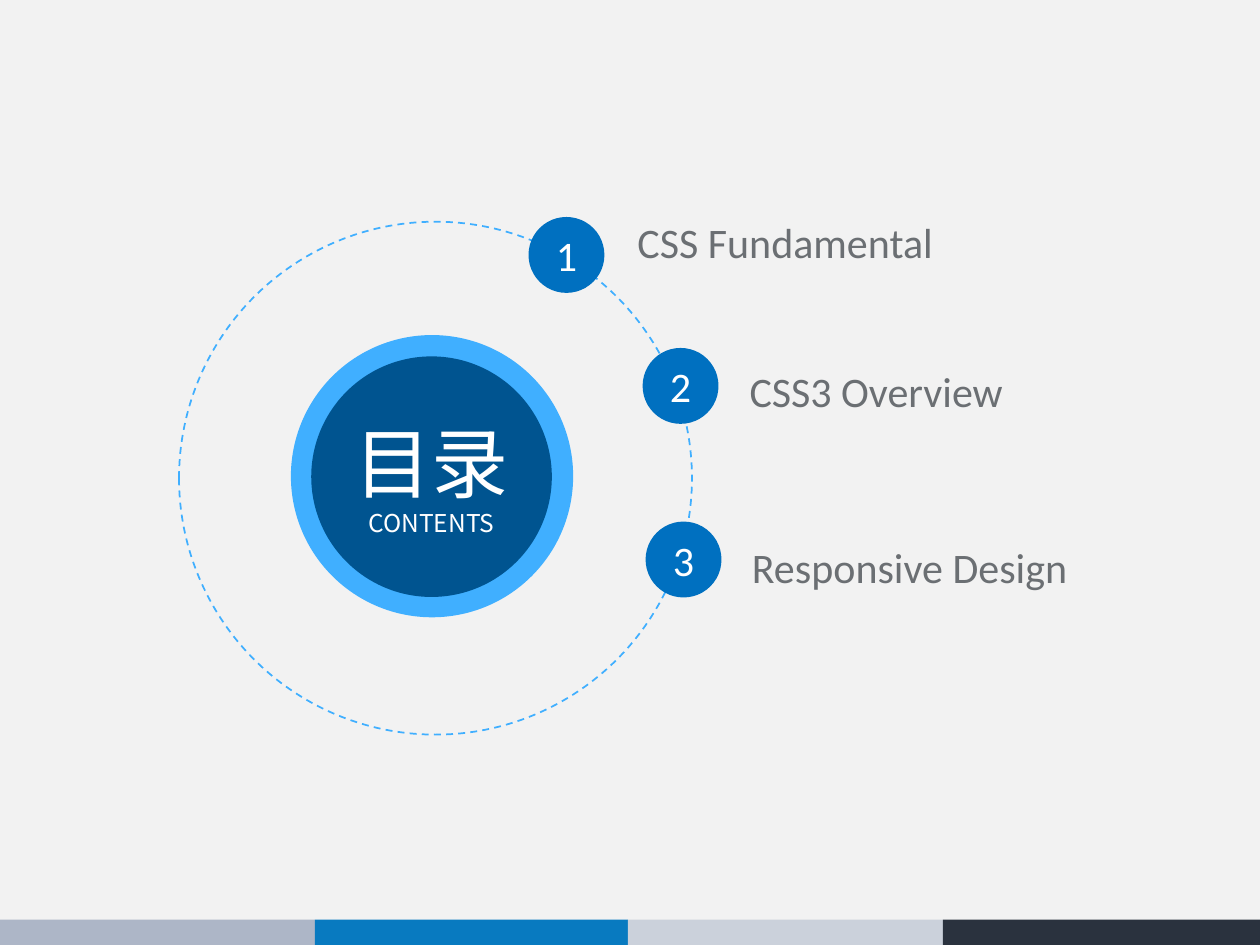
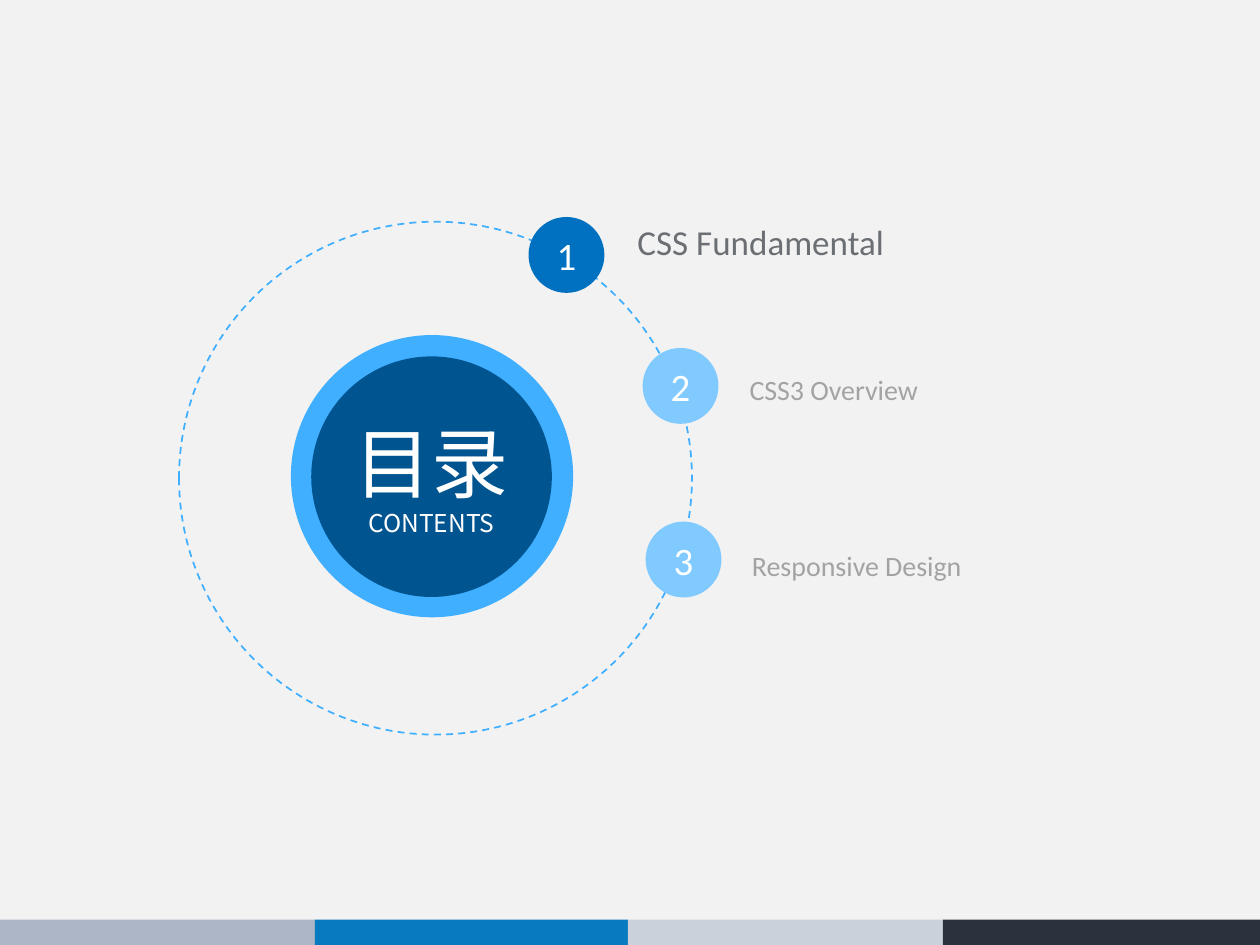
from dataclasses import dataclass
from itertools import pairwise

from lxml.etree import SubElement
from pptx import Presentation
from pptx.dml.color import RGBColor
from pptx.enum.dml import MSO_LINE_DASH_STYLE as Dash
from pptx.enum.shapes import MSO_SHAPE as Shape
from pptx.enum.text import MSO_ANCHOR as Anchor, PP_ALIGN as Align
from pptx.oxml.ns import qn
from pptx.util import Cm, Pt


@dataclass(frozen=True)
class Theme:
    background: str = "F2F2F2"
    bands: tuple = ("ADB6C7", "087AC0", "CBD1DB", "2A323E")
    ring: str = "40AFFF"
    hub: str = "005490"
    node: str = "0070C0"
    node_muted: str = "80CAFF"
    text: str = "6B6F73"
    text_muted: str = "A3A3A3"
    white: str = "FFFFFF"
    font: str = "Calibri"
    hub_font: str = "Noto Sans CJK SC"
    title_size: float = 44
    subtitle_size: float = 14
    large: float = 24
    number_small: float = 22.2
    active: float = 20
    muted: float = 16


SLIDE_W, SLIDE_H = 25.4, 19.05
BAND_TOP = 18.54
BAND_EDGES = (0, 6.35, 12.66, 19.01, SLIDE_W)
NODE_SIZE = 1.53
LABEL_H = 2.13

# text, node centre x and y, label left, top and width (cm)
TOPICS = (
    ("CSS Fundamental", 11.42, 5.14, 12.75, 3.71, 9.93),
    ("CSS3 Overview", 13.72, 7.78, 15.01, 6.71, 8.28),
    ("Responsive Design", 13.78, 11.28, 15.06, 10.26, 8.38),
)


def rgb(color):
    return RGBColor.from_string(color)


def write(p, text, *, size, color, font, align=Align.LEFT, spacing=None):
    p.alignment = align
    if spacing:
        p.line_spacing = spacing
    r = p.add_run()
    r.text = text
    r.font.size = Pt(size)
    r.font.color.rgb = rgb(color)
    r.font.name = font
    SubElement(r.font._element, qn("a:ea"), typeface=font)


def frame(sp, inset_left=0):
    """Return the text frame of a shape, wrapped, centred vertically, with tight margins."""
    tf = sp.text_frame
    tf.word_wrap = True
    tf.vertical_anchor = Anchor.MIDDLE
    tf.margin_left = Cm(inset_left)
    tf.margin_top = tf.margin_right = tf.margin_bottom = 0
    return tf


class Deck:
    def __init__(self, theme):
        self.theme = theme
        self.prs = Presentation()
        self.prs.slide_width, self.prs.slide_height = Cm(SLIDE_W), Cm(SLIDE_H)
        fill = self.prs.slide_master.background.fill
        fill.solid()
        fill.fore_color.rgb = rgb(theme.background)
        self.s = None

    def new_slide(self):
        self.s = self.prs.slides.add_slide(self.prs.slide_layouts[6])
        for (left, right), color in zip(pairwise(BAND_EDGES), self.theme.bands):
            self.shape(Shape.RECTANGLE, left, BAND_TOP, right - left,
                       SLIDE_H - BAND_TOP, fill=color)

    def shape(self, kind, left, top, width, height, *, fill=None, dashed=None):
        sp = self.s.shapes.add_shape(kind, Cm(left), Cm(top), Cm(width), Cm(height))
        sp.shadow.inherit = False
        if fill:
            sp.fill.solid()
            sp.fill.fore_color.rgb = rgb(fill)
        else:
            sp.fill.background()
        if dashed:
            sp.line.color.rgb = rgb(dashed)
            sp.line.width = Pt(1)
            sp.line.dash_style = Dash.DASH
        else:
            sp.line.fill.background()
        return sp

    def disc(self, cx, cy, size, **style):
        return self.shape(Shape.OVAL, cx - size / 2, cy - size / 2, size, size, **style)

    def hub(self):
        t = self.theme
        self.disc(8.71, 9.6, 5.69, fill=t.ring)
        self.disc(8.78, 9.64, 10.34, dashed=t.ring)
        tf = frame(self.disc(8.7, 9.61, 4.85, fill=t.hub))
        style = dict(color=t.white, font=t.hub_font, align=Align.CENTER)
        write(tf.paragraphs[0], "目录", size=t.title_size, **style)
        write(tf.add_paragraph(), "CONTENTS", size=t.subtitle_size, **style)

    def label(self, text, left, top, width, *, size, color):
        sp = self.s.shapes.add_textbox(Cm(left), Cm(top), Cm(width), Cm(LABEL_H))
        write(frame(sp, inset_left=0.1).paragraphs[0], text, size=size, color=color,
              font=self.theme.font, spacing=1.2)

    def node(self, number, cx, cy, *, size, fill):
        tf = frame(self.disc(cx, cy, NODE_SIZE, fill=fill))
        write(tf.paragraphs[0], str(number), size=size, color=self.theme.white,
              font=self.theme.font, align=Align.CENTER)

    def contents(self, current=None):
        """Add a contents slide; a current topic number mutes all the others."""
        t = self.theme
        self.new_slide()
        self.hub()
        for number, (text, cx, cy, *place) in enumerate(TOPICS, 1):
            muted = current is not None and number != current
            size = t.large if current is None else t.muted if muted else t.active
            self.label(text, *place, size=size, color=t.text_muted if muted else t.text)
            self.node(number, cx, cy, size=t.number_small if current else t.large,
                      fill=t.node_muted if muted else t.node)


def main():
    deck = Deck(Theme())
    deck.contents()
    deck.contents(current=1)
    deck.prs.save("out.pptx")


if __name__ == "__main__":
    main()
